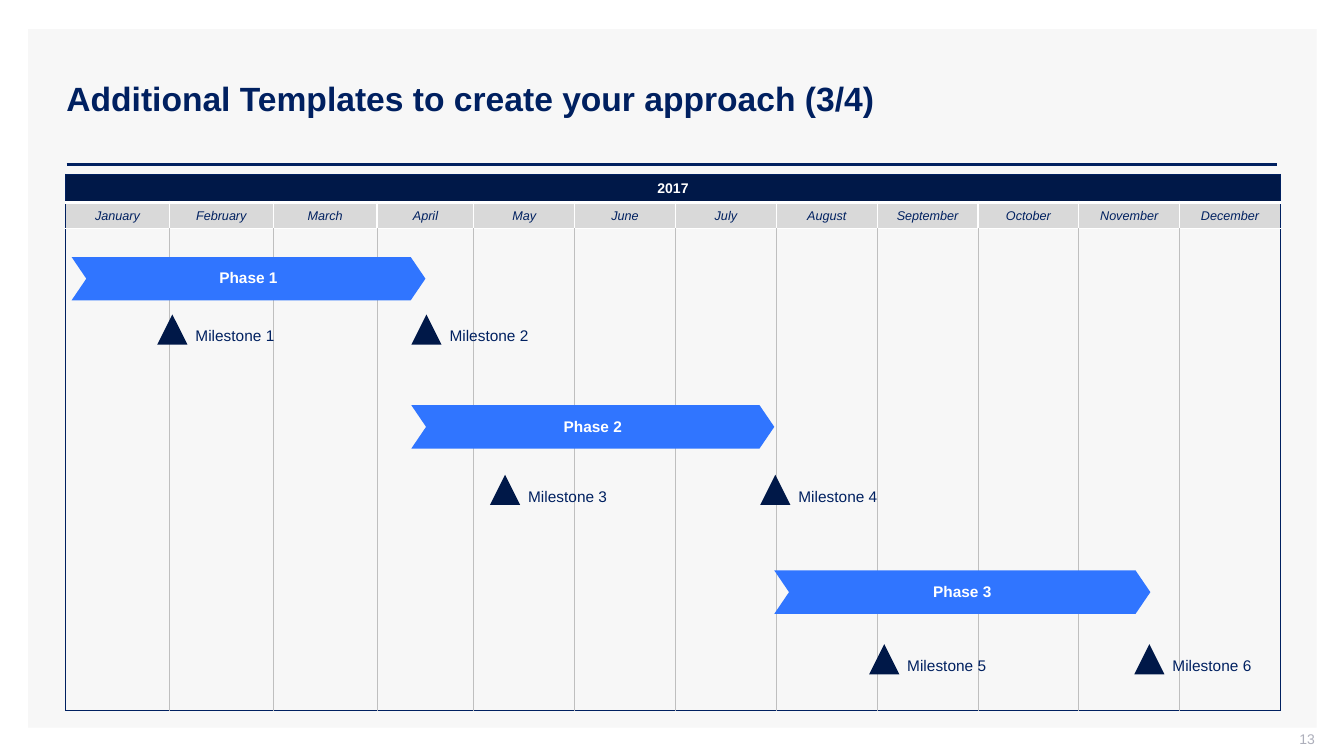
import pptx
import pptx.util
import pptx.dml.color
import pptx.enum.shapes
import pptx.enum.text
import pptx.oxml
import pptx.oxml.ns

Inches, Pt = pptx.util.Inches, pptx.util.Pt
MSO_SHAPE = pptx.enum.shapes.MSO_SHAPE
ALIGN = pptx.enum.text.PP_ALIGN
ANCHOR = pptx.enum.text.MSO_ANCHOR
NAVY, DARK, BLUE, WHITE = "002060", "001848", "3075FF", "FFFFFF"
PANEL, HEADER, GRID, NUMBER = "F7F7F7", "D9D9D9", "BFBFBF", "ADAFBB"
MONTHS = ["January", "February", "March", "April", "May", "June", "July",
          "August", "September", "October", "November", "December"]
MONTH_WIDTHS = [1.03] * 3 + [0.96] + [1] * 8
ROW_HEIGHTS = [0.28, 0.26, 4.78]
PHASES = [("Phase 1", 0.71, 2.55, 3.51), ("Phase 2", 4.08, 4.02, 3.6),
          ("Phase 3", 7.68, 5.66, 3.73)]
MILESTONES = [("Milestone 1", 1.56, 3.12, 1.5), ("Milestone 2", 4.08, 3.12, 1.52),
              ("Milestone 3", 4.86, 4.71, 1.5), ("Milestone 4", 7.54, 4.71, 1.38),
              ("Milestone 5", 8.62, 6.39, 1.5), ("Milestone 6", 11.25, 6.39, 1.02)]


def rgb(color):
    """Return the colour for a hex string."""
    return pptx.dml.color.RGBColor.from_string(color)


def write(tf, text, size=11, color=NAVY, bold=False, italic=False,
          align=ALIGN.LEFT, spacing=None):
    """Write one formatted paragraph into a text frame."""
    p = tf.paragraphs[0]
    p.alignment = align
    if spacing:
        p.line_spacing = spacing
    r = p.add_run()
    r.text = text
    r.font.name, r.font.size = "Arial", Pt(size)
    r.font.bold, r.font.italic = bold, italic
    r.font.color.rgb = rgb(color)


def set_margins(obj, left, top, right, bottom):
    """Set the inner margins, in inches, of a text frame or table cell."""
    obj.margin_left, obj.margin_top = Inches(left), Inches(top)
    obj.margin_right, obj.margin_bottom = Inches(right), Inches(bottom)


def add_text(s, text, x, y, w, h, anchor=ANCHOR.TOP, margins=(0.1, 0.05, 0.1, 0.05),
             **fmt):
    """Add a wrapping text box."""
    tf = s.shapes.add_textbox(Inches(x), Inches(y), Inches(w), Inches(h)).text_frame
    tf.word_wrap = True
    tf.vertical_anchor = anchor
    set_margins(tf, *margins)
    write(tf, text, **fmt)


def add_shape(s, kind, x, y, w, h, color):
    """Add a flat filled shape without outline."""
    sp = s.shapes.add_shape(kind, Inches(x), Inches(y), Inches(w), Inches(h))
    sp.shadow.inherit = False
    sp.fill.solid()
    sp.fill.fore_color.rgb = rgb(color)
    sp.line.fill.background()
    return sp


def add_rule(s, x1, x2, y):
    """Add the horizontal line under the title."""
    line = s.shapes.add_connector(pptx.enum.shapes.MSO_CONNECTOR.STRAIGHT,
                                  Inches(x1), Inches(y), Inches(x2), Inches(y))
    line.line.color.rgb = rgb(NAVY)
    line.line.width = Pt(2)
    effects = pptx.oxml.parse_xml(f'<a:effectLst {pptx.oxml.ns.nsdecls("a")}/>')
    line._element.spPr.append(effects)


def style_cell(cell, fill, left, right, top, bottom):
    """Set borders, given as (colour, points), then fill and margins of a cell."""
    tcPr = cell._tc.get_or_add_tcPr()
    for side, (color, width) in zip("LRTB", (left, right, top, bottom)):
        tcPr.append(pptx.oxml.parse_xml(
            f'<a:ln{side} {pptx.oxml.ns.nsdecls("a")} w="{Pt(width)}"><a:solidFill>'
            f'<a:srgbClr val="{color}"/></a:solidFill></a:ln{side}>'))
    if fill:
        cell.fill.solid()
        cell.fill.fore_color.rgb = rgb(fill)
    else:
        cell.fill.background()
    cell.vertical_anchor = ANCHOR.MIDDLE
    set_margins(cell, 0.04, 0.05, 0.04, 0.05)


def add_calendar(s):
    """Add the year table with one column per month."""
    table = s.shapes.add_table(len(ROW_HEIGHTS), len(MONTHS), Inches(0.65), Inches(1.73),
                               Inches(sum(MONTH_WIDTHS)), Inches(sum(ROW_HEIGHTS))).table
    table.first_row = table.horz_banding = False
    for row, height in zip(table.rows, ROW_HEIGHTS):
        row.height = Inches(height)
    frame, white, grid = (NAVY, 0.75), (WHITE, 1), (GRID, 0.75)
    last = len(MONTHS) - 1
    for i, (month, width) in enumerate(zip(MONTHS, MONTH_WIDTHS)):
        table.columns[i].width = Inches(width)
        year, name, body = (table.cell(row, i) for row in range(3))
        style_cell(year, DARK, frame, frame, frame, (WHITE, 3))
        for cell, fill, inner, bottom in ((name, HEADER, white, white),
                                          (body, None, grid, frame)):
            style_cell(cell, fill, frame if i == 0 else inner,
                       frame if i == last else inner,
                       (WHITE, 3) if cell is name else white, bottom)
        write(name.text_frame, month, size=9, italic=True, align=ALIGN.CENTER)
    table.cell(0, 0).merge(table.cell(0, last))
    write(table.cell(0, 0).text_frame, "2017", size=10, color=WHITE, bold=True,
          align=ALIGN.CENTER)


def add_phase(s, text, x, y, w):
    """Add a chevron bar with its phase name."""
    sp = add_shape(s, MSO_SHAPE.CHEVRON, x, y, w, 0.43, BLUE)
    sp.adjustments[0] = 0.34
    tf = sp.text_frame
    tf.vertical_anchor = ANCHOR.MIDDLE
    set_margins(tf, 0, 0.04, 0, 0.04)
    write(tf, text, color=WHITE, bold=True, align=ALIGN.CENTER, spacing=Pt(12))


def add_milestone(s, text, x, y, w):
    """Add a triangle marker with its label to the right."""
    add_shape(s, MSO_SHAPE.ISOSCELES_TRIANGLE, x, y, 0.3, 0.3, DARK)
    add_text(s, text, x + 0.28, y + 0.07, w, 0.29)


def main():
    """Build the slide and save it."""
    prs = pptx.Presentation()
    prs.slide_width, prs.slide_height = Inches(13.33), Inches(7.5)
    s = prs.slides.add_slide(prs.slide_layouts[6])
    add_shape(s, MSO_SHAPE.RECTANGLE, 0.28, 0.29, 12.78, 6.93, PANEL)
    add_rule(s, 0.66, 12.67, 1.63)
    add_text(s, "Additional Templates to create your approach (3/4)", 0.56, 0.4, 12.11,
             1.19, anchor=ANCHOR.MIDDLE, size=24, bold=True, spacing=0.9)
    add_text(s, "13", 10.04, 7.25, 3, 0.21, anchor=ANCHOR.MIDDLE,
             margins=(0.1, 0, 0, 0.05), size=10, color=NUMBER, align=ALIGN.RIGHT)
    add_calendar(s)
    for phase in PHASES:
        add_phase(s, *phase)
    for milestone in MILESTONES:
        add_milestone(s, *milestone)
    prs.save("out.pptx")


if __name__ == "__main__":
    main()
